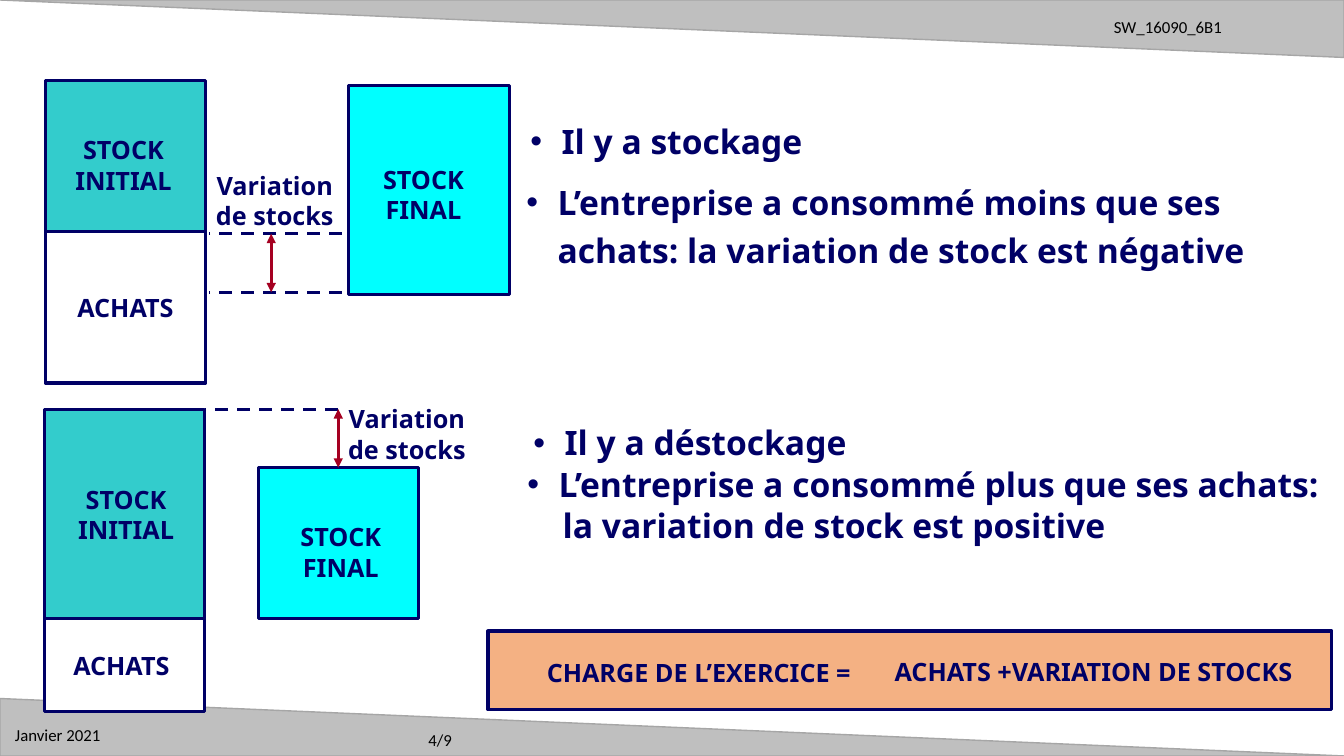
from dataclasses import dataclass

from lxml import etree
from pptx import Presentation
from pptx import util as u
from pptx.dml.color import RGBColor
from pptx.enum import dml, shapes, text
from pptx.oxml import ns

NAVY = RGBColor(0x00, 0x00, 0x66)
RED = RGBColor(0xA5, 0x00, 0x21)
TEAL = RGBColor(0x33, 0xCC, 0xCC)
CYAN = RGBColor(0x00, 0xFF, 0xFF)
ORANGE = RGBColor(0xF4, 0xB1, 0x83)
WHITE = RGBColor(0xFF, 0xFF, 0xFF)
BLACK = RGBColor(0x00, 0x00, 0x00)
GREY = RGBColor(0xBF, 0xBF, 0xBF)
EDGE_GREY = RGBColor(0xA6, 0xA6, 0xA6)

BLOCK_WIDTH = 1.59
BULLET_INDENT = 0.31
RECTANGLE = shapes.MSO_SHAPE.RECTANGLE
TRIANGLE = shapes.MSO_SHAPE.ISOSCELES_TRIANGLE


@dataclass
class Box:
    left: float
    top: float
    width: float
    height: float

    def lengths(self) -> list[u.Length]:
        return [u.Inches(n) for n in (self.left, self.top, self.width, self.height)]


@dataclass
class Label:
    wording: str
    box: Box
    line_spacing: float = 1.0


@dataclass
class Block:
    box: Box
    fill: RGBColor
    labels: list[Label]


@dataclass
class Line:
    start: tuple[float, float]
    end: tuple[float, float]
    is_arrow: bool = False


@dataclass
class Bullet:
    placeholder: int
    box: Box
    wording: str
    continuation: str = ""
    line_spacing: float = 1.0


STOCKING_BLOCKS = [
    Block(Box(0.45, 2.3, BLOCK_WIDTH, 1.5), WHITE,
          [Label("ACHATS", Box(0.63, 2.85, 1.23, 0.4))]),
    Block(Box(0.45, 0.8, BLOCK_WIDTH, 1.5), TEAL,
          [Label("STOCK INITIAL", Box(0.51, 1.28, 1.43, 0.71))]),
    Block(Box(3.46, 0.85, BLOCK_WIDTH, 2.07), CYAN,
          [Label("STOCK FINAL", Box(3.48, 1.57, 1.44, 0.71))]),
]
DESTOCKING_BLOCKS = [
    Block(Box(0.44, 6.14, BLOCK_WIDTH, 0.92), WHITE,
          [Label("ACHATS", Box(0.59, 6.4, 1.23, 0.4))]),
    Block(Box(0.44, 4.06, BLOCK_WIDTH, 2.08), TEAL,
          [Label("STOCK INITIAL", Box(0.49, 4.75, 1.52, 0.71))]),
    Block(Box(2.56, 4.64, BLOCK_WIDTH, 1.5), CYAN,
          [Label("STOCK FINAL", Box(2.69, 5.12, 1.38, 0.71))]),
]
CHARGE = Block(Box(4.84, 6.26, 8.37, 0.78), ORANGE, [
    Label("CHARGE DE L’EXERCICE =", Box(4.94, 6.47, 3.98, 0.4)),
    Label("ACHATS +VARIATION DE STOCKS", Box(8.59, 6.49, 4.51, 0.4), 0.8),
])
VARIATIONS = [
    Label("Variation\nde stocks", Box(2.03, 1.63, 1.39, 0.71)),
    Label("Variation\nde stocks", Box(3.34, 3.95, 1.39, 0.71)),
]
LINES = [
    Line((3.39, 2.32), (2.07, 2.32)),
    Line((3.39, 2.9), (2.07, 2.9)),
    Line((2.69, 2.32), (2.69, 2.9), is_arrow=True),
    Line((3.35, 4.06), (2.03, 4.06)),
]
DESTOCKING_ARROW = Line((3.355, 4.06), (3.355, 4.64), is_arrow=True)
BULLETS = [
    Bullet(1, Box(5.16, 1.15, 2.99, 0.5), "Il y a stockage"),
    Bullet(2, Box(5.12, 1.69, 8.21, 1.02),
           "L’entreprise a consommé moins que ses achats: "
           "la variation de stock est négative", line_spacing=1.2),
    Bullet(3, Box(5.19, 4.14, 3.4, 0.5), "Il y a déstockage"),
    Bullet(4, Box(5.13, 4.55, 8.2, 0.91),
           "L’entreprise a consommé plus que ses achats:",
           "la variation de stock est positive"),
]
MARGIN_NOTES = [
    Label("SW_16090_6B1", Box(10.95, 0.12, 1.6, 0.3)),
    Label("Janvier 2021", Box(0.05, 7.14, 1.38, 0.3)),
    Label("4/9", Box(4.15, 7.19, 0.6, 0.3)),
]


def set_font(paragraph, size: int, name: str = "Noto Sans",
             colour: RGBColor = NAVY, bold: bool = True) -> None:
    font = paragraph.font
    font.name, font.size, font.bold = name, u.Pt(size), bold
    font.color.rgb = colour


def add_figure(slide, kind, box: Box, fill: RGBColor, edge: RGBColor, weight: float):
    figure = slide.shapes.add_shape(kind, *box.lengths())
    figure.shadow.inherit = False
    figure.fill.solid()
    figure.fill.fore_color.rgb = fill
    figure.line.color.rgb = edge
    figure.line.width = u.Pt(weight)
    return figure


def add_label(slide, label: Label):
    frame = slide.shapes.add_textbox(*label.box.lengths()).text_frame
    frame.word_wrap = "\n" not in label.wording
    frame.vertical_anchor = text.MSO_ANCHOR.MIDDLE
    frame.text = label.wording
    for paragraph in frame.paragraphs:
        paragraph.alignment = text.PP_ALIGN.CENTER
        paragraph.line_spacing = label.line_spacing
        set_font(paragraph, 18)
    return frame


def add_block(slide, block: Block):
    rectangle = add_figure(slide, RECTANGLE, block.box, block.fill, NAVY, 2.25)
    for label in block.labels:
        add_label(slide, label)
    return rectangle


def add_line(slide, line: Line):
    points = [u.Inches(n) for n in (*line.start, *line.end)]
    connector = slide.shapes.add_connector(shapes.MSO_CONNECTOR.STRAIGHT, *points)
    connector.line.width = u.Pt(2.25)
    connector.line.color.rgb = RED if line.is_arrow else NAVY
    if line.is_arrow:
        for end in ("a:headEnd", "a:tailEnd"):
            etree.SubElement(connector.line._ln, ns.qn(end), type="triangle")
    else:
        connector.line.dash_style = dml.MSO_LINE.DASH
    etree.SubElement(connector._element.spPr, ns.qn("a:effectLst"))
    return connector


def fill_bullet(slide, bullet: Bullet) -> None:
    body = slide.placeholders[bullet.placeholder]
    body.left, body.top, body.width, body.height = bullet.box.lengths()
    frame = body.text_frame
    frame.auto_size = text.MSO_AUTO_SIZE.NONE
    frame.vertical_anchor = text.MSO_ANCHOR.MIDDLE
    frame.text = "\n".join(filter(None, (bullet.wording, bullet.continuation)))
    for index, paragraph in enumerate(frame.paragraphs):
        paragraph.line_spacing = bullet.line_spacing
        paragraph.space_before = u.Pt(0)
        properties = paragraph._p.get_or_add_pPr()
        if index == 0:
            properties.set("marL", str(u.Inches(BULLET_INDENT)))
            properties.set("indent", str(-u.Inches(BULLET_INDENT)))
            etree.SubElement(properties, ns.qn("a:buChar"), char="•")
        else:
            properties.set("marL", str(u.Inches(0.35)))
            properties.set("indent", "0")
            etree.SubElement(properties, ns.qn("a:buNone"))
        set_font(paragraph, 24)


def add_margins(slide) -> None:
    """Draw the grey wedges at top and bottom with their notes."""
    for top, rotation in ((0, 180), (6.93, 0)):
        wedge = add_figure(slide, TRIANGLE, Box(0, top, 13.33, 0.57), GREY, EDGE_GREY, 1)
        wedge.adjustments[0] = 0
        wedge.rotation = rotation
    for note in MARGIN_NOTES:
        paragraph = add_label(slide, note).paragraphs[0]
        paragraph.alignment = text.PP_ALIGN.LEFT
        set_font(paragraph, 12, "Calibri", BLACK, bold=False)


def main() -> None:
    deck = Presentation()
    deck.slide_width, deck.slide_height = u.Inches(13.33), u.Inches(7.5)
    slide = deck.slides.add_slide(deck.slide_layouts.get_by_name("Comparison"))
    title = slide.shapes.title.element
    title.getparent().remove(title)

    add_margins(slide)
    for block in [*STOCKING_BLOCKS, *DESTOCKING_BLOCKS]:
        final_stock = add_block(slide, block)
    add_block(slide, CHARGE)
    for line in LINES:
        add_line(slide, line)
    add_line(slide, DESTOCKING_ARROW).end_connect(final_stock, 0)
    for variation in VARIATIONS:
        add_label(slide, variation)
    for bullet in BULLETS:
        fill_bullet(slide, bullet)
    deck.save("out.pptx")


if __name__ == "__main__":
    main()
